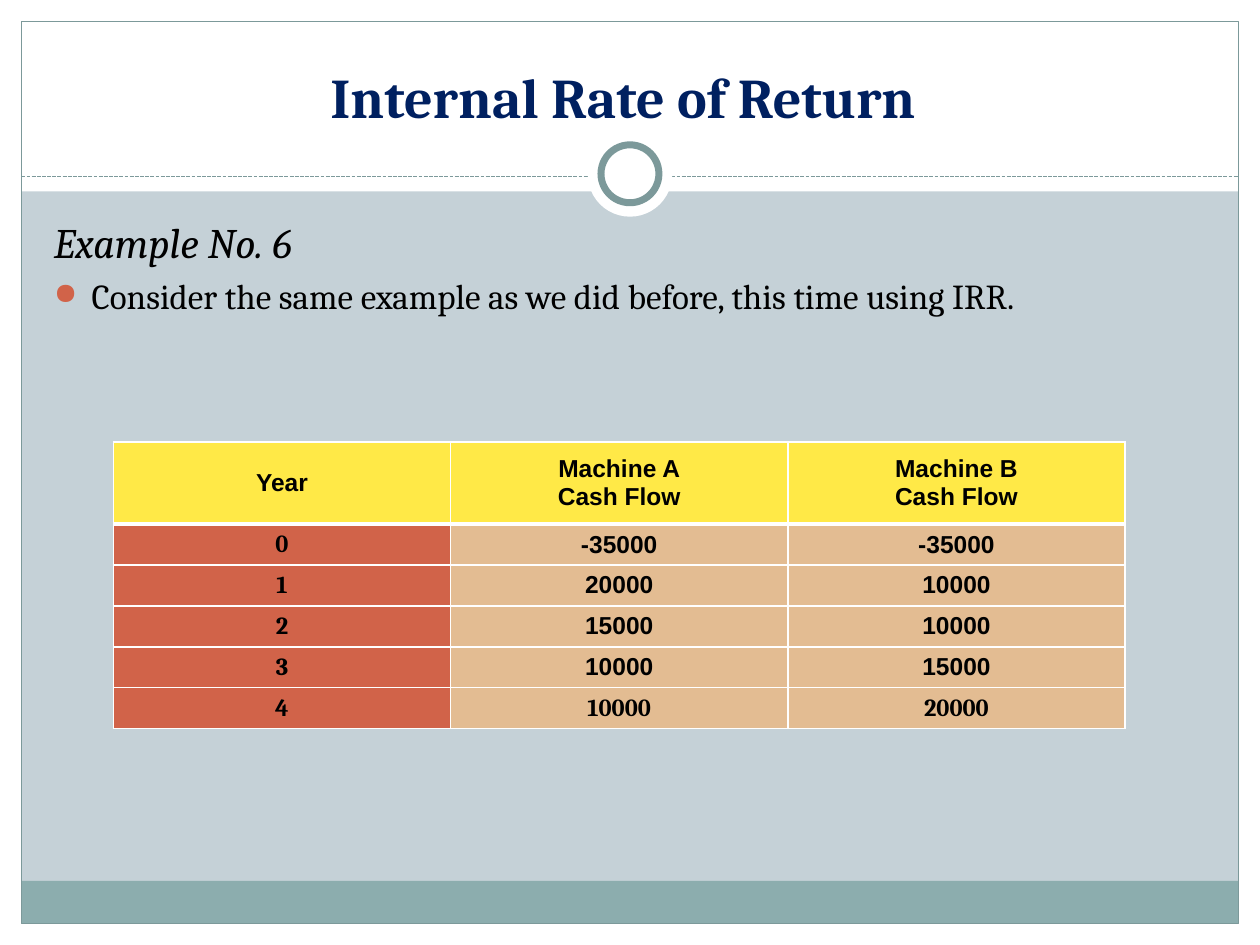
from lxml.etree import SubElement
from pptx import Presentation
from pptx.dml.color import RGBColor
from pptx.enum.dml import MSO_LINE
from pptx.enum.shapes import MSO_CONNECTOR, MSO_SHAPE
from pptx.enum.text import MSO_ANCHOR, PP_ALIGN
from pptx.oxml import parse_xml
from pptx.oxml.ns import nsdecls, qn
from pptx.util import Inches, Pt

presentation = Presentation()
presentation.slide_width = Inches(10)
presentation.slide_height = Inches(7.5)
column = presentation.slide_width / 100
row = presentation.slide_height / 100
slide = presentation.slides.add_slide(presentation.slide_layouts[6])
color = RGBColor.from_string


def place(left, top, width, height):
    return int(left * column), int(top * row), int(width * column), int(height * row)


def add_text(paragraph, text, font_values, font_color):
    run = paragraph.add_run()
    run.text = text
    for name, value in font_values.items():
        setattr(run.font, name, value)
    run.font.color.rgb = color(font_color)


background = slide.background.fill
background.solid()
background.fore_color.rgb = color("C5D1D7")

margin_x, margin_y = 1.7, 2.27
inner_x, inner_y = 100 - 2 * margin_x, 100 - 2 * margin_y
bands = [
    (0, 100 - margin_y, 100, margin_y, "FFFFFF"),
    (0, 0, 100, 20.27, "FFFFFF"),
    (0, 0, margin_x, 100, "FFFFFF"),
    (100 - margin_x, 0, margin_x, 100, "FFFFFF"),
    (margin_x, 93.2, inner_x, 4.53, "8CADAE"),
]
for left, top, width, height, fill in bands:
    band = slide.shapes.add_shape(MSO_SHAPE.RECTANGLE, *place(left, top, width, height))
    band.shadow.inherit = False
    band.fill.solid()
    band.fill.fore_color.rgb = color(fill)
    band.line.fill.background()

frame = slide.shapes.add_shape(MSO_SHAPE.RECTANGLE, *place(margin_x, margin_y, inner_x, inner_y))
frame.shadow.inherit = False
frame.fill.background()
frame.line.color.rgb = color("7C999A")
frame.line.width = Pt(0.75)

left, top, width, height = place(margin_x, 18.67, inner_x, 0)
divider = slide.shapes.add_connector(MSO_CONNECTOR.STRAIGHT, left, top, left + width, top)
divider.line.color.rgb = color("7C999A")
divider.line.width = Pt(0.75)
divider.line.dash_style = MSO_LINE.SQUARE_DOT
SubElement(divider.element.spPr, qn("a:effectLst"))

for left, top, width, height, line_width in [(46.65, 14, 6.7, 8.93, 0), (47.7, 15.33, 4.6, 6.13, 4)]:
    circle = slide.shapes.add_shape(MSO_SHAPE.OVAL, *place(left, top, width, height))
    circle.shadow.inherit = False
    circle.fill.solid()
    circle.fill.fore_color.rgb = color("FFFFFF")
    if line_width:
        circle.line.color.rgb = color("7C999A")
        circle.line.width = Pt(line_width)
    else:
        circle.line.fill.background()

title = slide.shapes.add_textbox(*place(3.3, 3.33, 93.3, 11.07)).text_frame
title.word_wrap = True
title.vertical_anchor = MSO_ANCHOR.BOTTOM
title.paragraphs[0].alignment = PP_ALIGN.CENTER
add_text(title.paragraphs[0], "Internal Rate of Return ",
         {"name": "Cambria", "size": Pt(32), "bold": True}, "002060")

body = slide.shapes.add_textbox(*place(3.3, 22.27, 91.6, 66.67)).text_frame
body.word_wrap = True
add_text(body.paragraphs[0], "Example No. 6",
         {"name": "Cambria", "size": Pt(24), "italic": True}, "000000")
bullet = body.add_paragraph()
properties = bullet._p.get_or_add_pPr()
properties.set("marL", str(Inches(0.3)))
properties.set("indent", str(-Inches(0.3)))
for markup in [
    '<a:buClr {}><a:srgbClr val="D16349"/></a:buClr>',
    '<a:buSzPct {} val="85000"/>',
    '<a:buChar {} char="●"/>',
]:
    properties.append(parse_xml(markup.format(nsdecls("a"))))
bullet.space_before = Pt(4)
add_text(bullet, "Consider the same example as we did before, this time using IRR.",
         {"name": "Cambria", "size": Pt(20)}, "000000")

cash_flows = [
    ("Year", "Machine A\nCash Flow", "Machine B\nCash Flow"),
    ("0", "-35000", "-35000"),
    ("1", "20000", "10000"),
    ("2", "15000", "10000"),
    ("3", "10000", "15000"),
    ("4", "10000", "20000"),
]
last_row = len(cash_flows) - 1
table = slide.shapes.add_table(len(cash_flows), 3, *place(9, 46.8, 80.3, 30.4)).table
cell_format = {
    "margin_left": Inches(0.07),
    "margin_right": Inches(0.07),
    "margin_top": 0,
    "margin_bottom": 0,
    "vertical_anchor": MSO_ANCHOR.MIDDLE,
}
for row_index, values in enumerate(cash_flows):
    table.rows[row_index].height = int((4.33 if row_index else 8.67) * row)
    for column_index, value in enumerate(values):
        cell = table.cell(row_index, column_index)
        for name, setting in cell_format.items():
            setattr(cell, name, setting)
        is_cambria = row_index == last_row or (row_index > 0 and column_index == 0)
        for line_index, text in enumerate(value.split("\n")):
            frame_text = cell.text_frame
            paragraph = frame_text.add_paragraph() if line_index else frame_text.paragraphs[0]
            paragraph.alignment = PP_ALIGN.CENTER
            add_text(paragraph, text,
                     {"name": "Cambria" if is_cambria else "Arial", "size": Pt(14), "bold": True},
                     "000000")
        cell_properties = cell._tc.get_or_add_tcPr()
        for side in "LRTB":
            thick = (row_index, side) in [(0, "B"), (1, "T")]
            cell_properties.append(parse_xml(
                f'<a:ln{side} {nsdecls("a")} w="{Pt(3 if thick else 1)}">'
                '<a:solidFill><a:srgbClr val="FFFFFF"/></a:solidFill>'
                f'</a:ln{side}>'))
        cell.fill.solid()
        body_fill = "E3BC92" if column_index else "D16349"
        cell.fill.fore_color.rgb = color(body_fill if row_index else "FFE947")

presentation.save("out.pptx")
